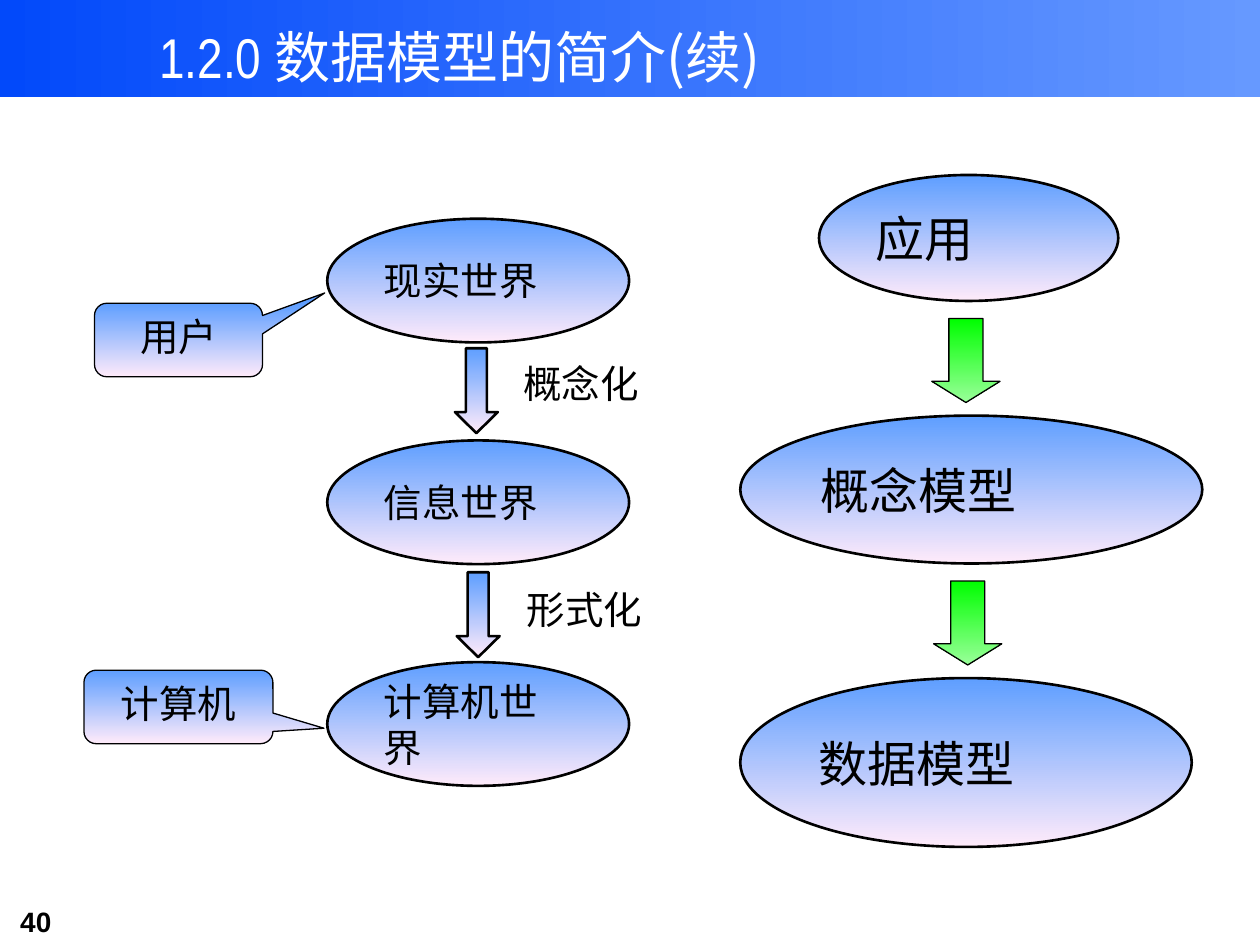
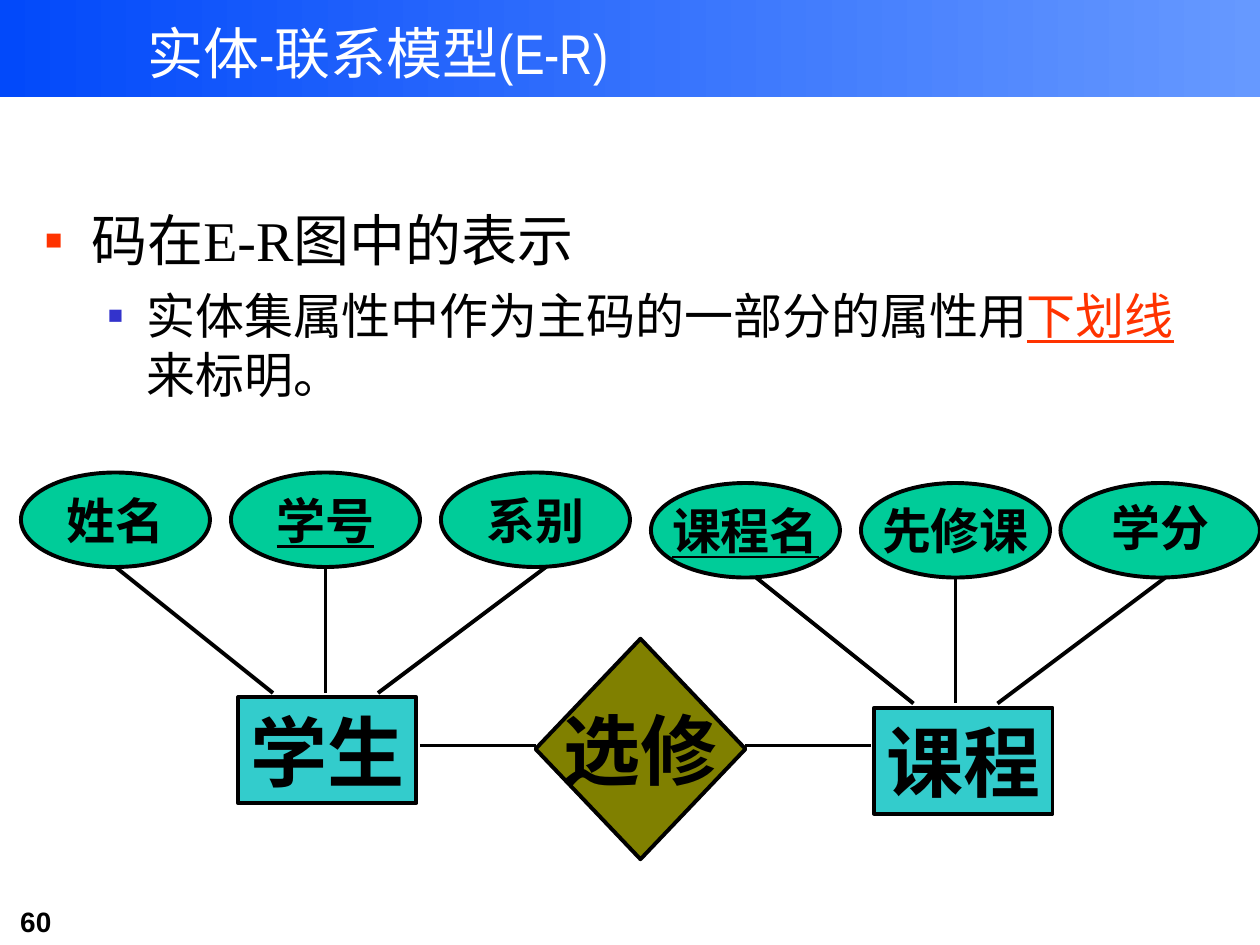
from lxml.etree import SubElement
from pptx import Presentation
from pptx.dml.color import RGBColor
from pptx.enum.shapes import MSO_CONNECTOR, MSO_SHAPE
from pptx.enum.text import MSO_ANCHOR, PP_ALIGN
from pptx.oxml.ns import qn
from pptx.util import Pt

CJK = "Noto Sans CJK SC"
SERIF = "Times New Roman"
NARROW = "Arial Narrow"
BLACK, WHITE = "000000", "FFFFFF"
BAND = ("0249FA", "6699FF")
SKY = ("5E9EFF", "FFEBFA")
GREEN = ("00FF00", "99FF99")
ATTRIBUTE, ENTITY, RELATION = "00CC99", "33CCCC", "808000"
RED, BLUE = "FF3300", "3333CC"
DOWN, RIGHT = 270, 0
LEFT, CENTER = PP_ALIGN.LEFT, PP_ALIGN.CENTER


def rgb(value):
    return RGBColor.from_string(value)


def paint(shape, fill, line_width, angle=DOWN):
    """Fill with one colour, or with a gradient when given a pair."""
    shape.shadow.inherit = False
    if isinstance(fill, tuple):
        shape.fill.gradient()
        shape.fill.gradient_angle = angle
        for stop, color in zip(shape.fill.gradient_stops, fill):
            stop.color.rgb = rgb(color)
    else:
        shape.fill.solid()
        shape.fill.fore_color.rgb = rgb(fill)
    if line_width:
        shape.line.color.rgb = rgb(BLACK)
        shape.line.width = Pt(line_width)
    else:
        shape.line.fill.background()


def add_run(paragraph, text, size, font=CJK, color=BLACK, bold=False, underline=False):
    run = paragraph.add_run()
    run.text = text
    run.font.size = Pt(size)
    run.font.bold = bold
    run.font.underline = underline
    run.font.color.rgb = rgb(color)
    run.font.name = font
    SubElement(run.font._element, qn("a:ea"), typeface=CJK)


def add_shape(slide, kind, box, fill, line_width, angle=DOWN):
    shape = slide.shapes.add_shape(kind, *map(Pt, box))
    paint(shape, fill, line_width, angle)
    return shape


def add_label(shape, text, size, font=CJK, align=LEFT, anchor=MSO_ANCHOR.MIDDLE,
              wrap=True, **style):
    frame = shape.text_frame
    frame.word_wrap = wrap
    frame.vertical_anchor = anchor
    paragraph = frame.paragraphs[0]
    paragraph.alignment = align
    add_run(paragraph, text, size, font, **style)
    return paragraph


def add_text_box(slide, box):
    frame = slide.shapes.add_textbox(*map(Pt, box)).text_frame
    frame.word_wrap = True
    return frame


def add_line(slide, start, end):
    line = slide.shapes.add_connector(MSO_CONNECTOR.STRAIGHT, *map(Pt, start + end))
    line.line.color.rgb = rgb(BLACK)
    line.line.width = Pt(2.25)
    SubElement(line._element.spPr, qn("a:effectLst"))


def add_base(presentation, number, title_box, title_runs):
    """Add a slide with the title band, title and page number."""
    slide = presentation.slides.add_slide(presentation.slide_layouts[6])
    add_shape(slide, MSO_SHAPE.RECTANGLE, (0, 0, 720, 55.5), BAND, 0, RIGHT)
    page = add_text_box(slide, (4.5, 513.5, 88, 26.5))
    add_run(page.paragraphs[0], number, 16, "Arial", bold=True)
    title = add_text_box(slide, title_box).paragraphs[0]
    title.line_spacing = 1.5
    for text, font in title_runs:
        add_run(title, text, 32, font, WHITE)
    return slide


def add_outline_arrow(slide, left, top):
    points = [(0, 36.5), (6.25, 36.5), (6.25, 0), (18.25, 0),
              (18.25, 36.5), (24.5, 36.5), (12.25, 48.5)]
    corners = [(Pt(left + x), Pt(top + y)) for x, y in points]
    builder = slide.shapes.build_freeform(*corners[0])
    builder.add_line_segments(corners[1:], close=True)
    paint(builder.convert_to_shape(), SKY, 1.5)


def add_worlds(slide, left, top):
    """Three worlds one below the other, with steps and callouts."""
    for row, world in enumerate(("现实世界", "信息世界", "计算机世界")):
        box = (left + 139, top + 126.7 * row, 172.5, 70.7)
        add_label(add_shape(slide, MSO_SHAPE.OVAL, box, SKY, 1.5), world, 22)

    for x, y, step_x, step_y, step in ((212, 74, 251, 80.5, "概念化"),
                                       (213, 202, 253, 210, "形式化")):
        add_outline_arrow(slide, left + x, top + y)
        frame = add_text_box(slide, (left + step_x, top + step_y, 68, 26.5))
        frame.word_wrap = False
        frame.margin_left = frame.margin_right = 0
        frame.margin_top = frame.margin_bottom = 0
        add_run(frame.paragraphs[0], step, 22)

    for x, y, width, tip, role in ((6, 48.3, 96, (0.87, -0.64), "用户"),
                                   (0, 258, 108, (0.77, 0.29), "计算机")):
        callout = add_shape(slide, MSO_SHAPE.ROUNDED_RECTANGULAR_CALLOUT,
                            (left + x, top + y, width, 42), SKY, 0.75)
        callout.adjustments[0], callout.adjustments[1] = tip
        add_label(callout, role, 22, SERIF, CENTER, MSO_ANCHOR.TOP)


def add_models(slide, left, top):
    """Chain from the application to the data model."""
    for x, y, width, height, model in ((45, 0, 171, 72, "应用"),
                                       (0, 137.5, 264, 84.5, "概念模型"),
                                       (0, 287.5, 258, 96.5, "数据模型")):
        box = (left + x, top + y, width, height)
        add_label(add_shape(slide, MSO_SHAPE.OVAL, box, SKY, 1.5), model, 28)
    for x, y in ((109.5, 82), (110.5, 232)):
        arrow = add_shape(slide, MSO_SHAPE.DOWN_ARROW,
                          (left + x, top + y, 39, 48), GREEN, 0.75)
        arrow.adjustments[0], arrow.adjustments[1] = 0.5, 0.31


def add_bullet(paragraph, level, margin, hanging, color):
    paragraph.level = level
    properties = paragraph._p.get_or_add_pPr()
    properties.set("marL", str(Pt(margin)))
    properties.set("indent", str(-Pt(hanging)))
    bullet_color = SubElement(properties, qn("a:buClr"))
    SubElement(bullet_color, qn("a:srgbClr"), val=color)
    SubElement(properties, qn("a:buFont"), typeface="Arial")
    SubElement(properties, qn("a:buChar"), char="▪")


def add_key_notes(slide, box):
    frame = add_text_box(slide, box)
    heading = frame.paragraphs[0]
    add_bullet(heading, 0, 27, 27, RED)
    add_run(heading, "码在E-R图中的表示", 32, SERIF)
    detail = frame.add_paragraph()
    detail.space_before = Pt(7)
    add_bullet(detail, 1, 58.5, 22.5, BLUE)
    add_run(detail, "实体集属性中作为主码的一部分的属性用", 28, SERIF)
    add_run(detail, "下划线", 28, SERIF, RED, underline=True)
    add_run(detail, "来标明。", 28, SERIF)


def add_node(slide, kind, box, fill, text, size, underline=False):
    shape = add_shape(slide, kind, box, fill, 2.25)
    return add_label(shape, text, size, SERIF, CENTER, wrap=False,
                     bold=True, underline=underline)


def add_entity(slide, left, top, name, name_left, attributes, spokes):
    """Entity with attributes (x, width, text, is_key) and spokes (upper x, lower x)."""
    labels = [add_node(slide, MSO_SHAPE.OVAL, (left + x, top, width, 54),
                       ATTRIBUTE, text, 28, is_key)
              for x, width, text, is_key in attributes]
    for upper, lower in spokes:
        add_line(slide, (left + upper, top + 54), (left + lower, top + 126))
    add_node(slide, MSO_SHAPE.RECTANGLE, (left + name_left, top + 128.5, 102, 60.5),
             ENTITY, name, 44)
    return labels


def add_er_diagram(slide, left, top):
    add_entity(slide, left, top, "学生", 124,
               [(0, 108, "姓名", False), (120, 108, "学号", True), (240, 108, "系别", False)],
               [(54, 144), (174, 174), (300, 204)])
    labels = add_entity(slide, left + 360, top + 6, "课程", 127.5,
                        [(0, 108, "课程名", True), (120, 108, "先修课", False),
                         (234, 114, "学分", False)],
                        [(60, 150), (174, 174), (294, 198)])
    labels[-1].line_spacing = 0.9
    add_node(slide, MSO_SHAPE.DIAMOND, (left + 294, top + 95, 120, 126), RELATION, "选修", 44)
    for start, end in ((228, 294), (414, 486)):
        add_line(slide, (left + start, top + 156), (left + end, top + 156))


def main():
    presentation = Presentation()
    presentation.slide_width, presentation.slide_height = Pt(720), Pt(540)

    models = add_base(presentation, "40", (84, -10, 390, 122.5),
                      [("1.2.0 ", NARROW), ("数据模型的简介(续)", CJK)])
    add_worlds(models, 48, 125)
    add_models(models, 423, 100)

    er_model = add_base(presentation, "60", (77, -12, 480, 65),
                        [("实体-联系模型(E-R)", NARROW)])
    add_key_notes(er_model, (18, 114, 687, 408))
    add_er_diagram(er_model, 12, 270)

    presentation.save("out.pptx")


if __name__ == "__main__":
    main()
